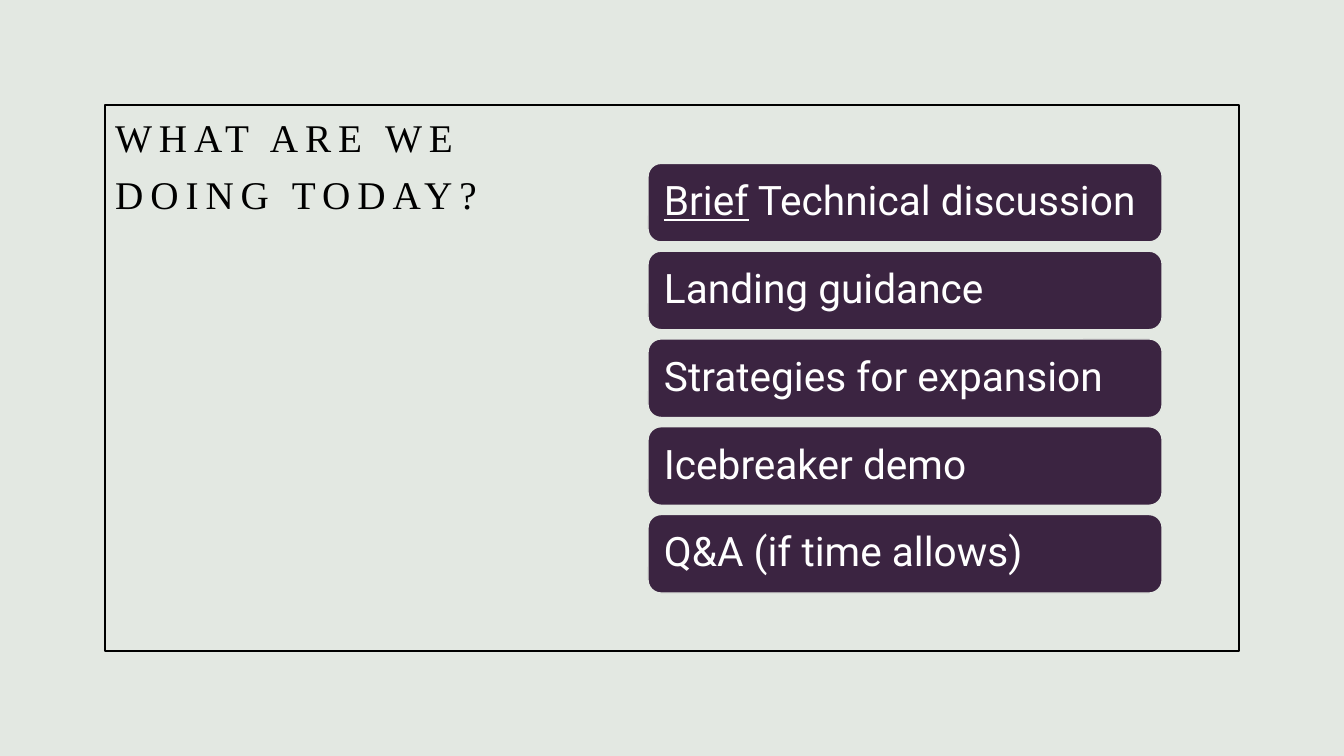
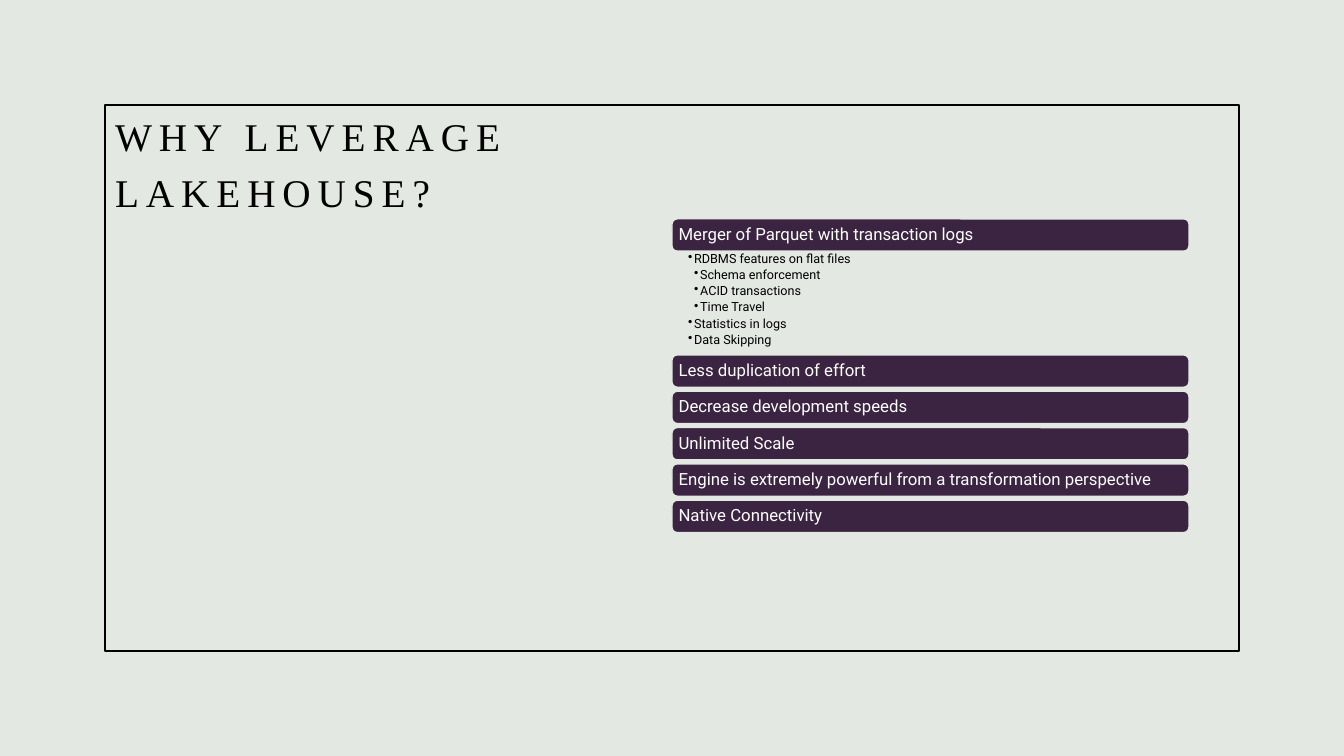
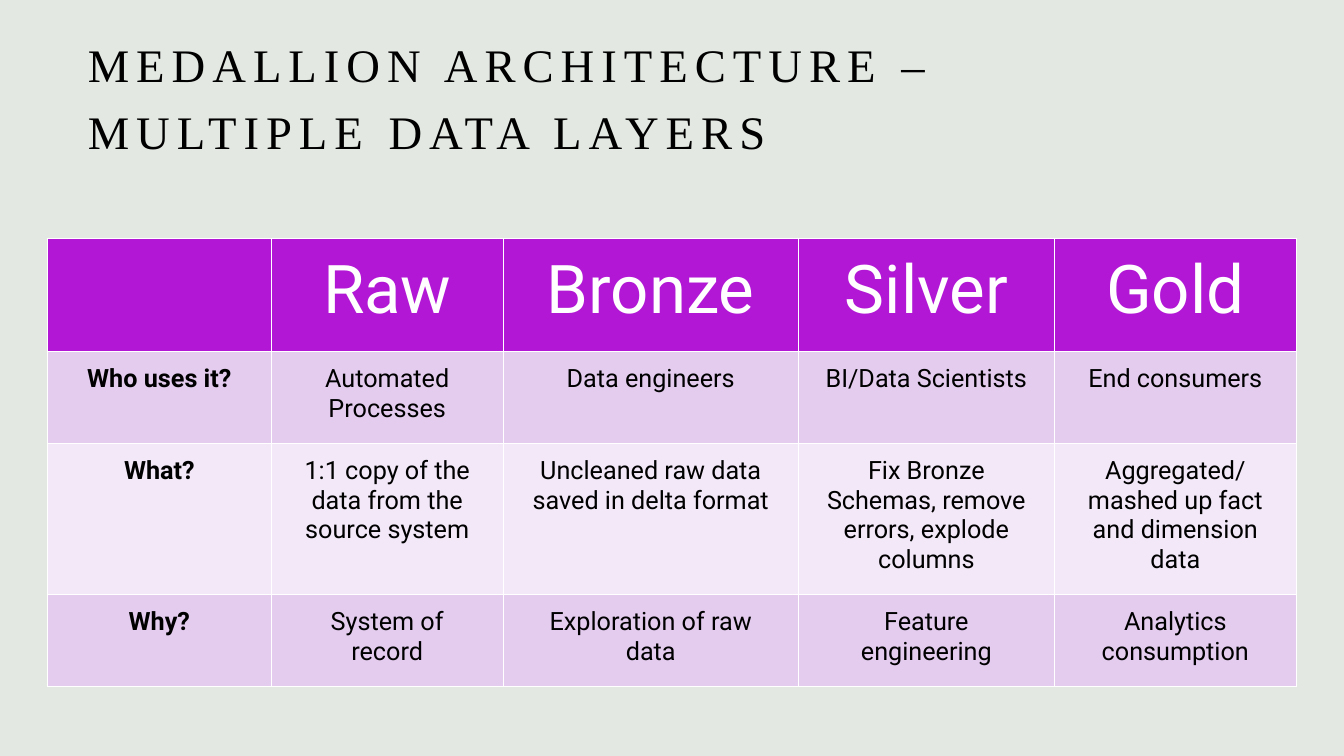
import pptx
import pptx.util
import pptx.dml.color
import pptx.enum.shapes
import pptx.enum.text
import pptx.oxml
import pptx.oxml.ns

COLORS = {
    "background": "E3E8E2",
    "ink": "000000",
    "bar": "3B2441",
    "white": "FFFFFF",
    "header": "B217D5",
    "row_dark": "E4CCEF",
    "row_light": "F2E8F7",
}
TITLE_FONT = "Times New Roman"
BODY_FONT = "Roboto"

# Grid of square cells: 64 columns by 36 rows
SLIDE_WIDTH = pptx.util.Inches(13.333)
SLIDE_HEIGHT = pptx.util.Inches(7.5)
CELL = SLIDE_HEIGHT / 36
TITLE_ONLY = 5

ALIGN = pptx.enum.text.PP_ALIGN
ANCHOR = pptx.enum.text.MSO_ANCHOR
SHAPE = pptx.enum.shapes.MSO_SHAPE

AGENDA = [
    [("Brief", True), (" Technical discussion", False)],
    [("Landing guidance", False)],
    [("Strategies for expansion", False)],
    [("Icebreaker demo", False)],
    [("Q&A (if time allows)", False)],
]
LEAD_REASON = "Merger of Parquet with transaction logs"
LEAD_DETAILS = [
    (1, "RDBMS features on flat files"),
    (2, "Schema enforcement"),
    (2, "ACID transactions"),
    (2, "Time Travel"),
    (1, "Statistics in logs"),
    (1, "Data Skipping"),
]
OTHER_REASONS = [
    "Less duplication of effort",
    "Decrease development speeds",
    "Unlimited Scale",
    "Engine is extremely powerful from a transformation perspective",
    "Native Connectivity",
]
LAYERS = [
    ["", "Raw", "Bronze", "Silver", "Gold"],
    ["Who uses it?", "Automated Processes", "Data engineers",
     "BI/Data Scientists", "End consumers"],
    ["What?", "1:1 copy of the data from the source system",
     "Uncleaned raw data saved in delta format",
     "Fix Bronze Schemas, remove errors, explode columns",
     "Aggregated/ mashed up fact and dimension data"],
    ["Why?", "System of record", "Exploration of raw data",
     "Feature engineering", "Analytics consumption"],
]
LAYER_COLUMNS = [10.66, 11.04, 14.06, 12.19, 11.52]
LAYER_ROWS = [5.38, 4.37, 7.2, 4.37]


def grid(cells):
    return pptx.util.Emu(round(cells * CELL))


def box(left, top, width, height):
    return [grid(cells) for cells in (left, top, width, height)]


def color(name):
    return pptx.dml.color.RGBColor.from_string(COLORS[name])


def style_font(font, name, size, ink, bold=None):
    font.name = name
    font.size = pptx.util.Pt(size)
    font.color.rgb = color(ink)
    font.bold = bold


def set_margins(holder, left, top, right, bottom):
    holder.margin_left = pptx.util.Inches(left)
    holder.margin_top = pptx.util.Inches(top)
    holder.margin_right = pptx.util.Inches(right)
    holder.margin_bottom = pptx.util.Inches(bottom)


def add_titled_slide(deck, text, place, size=28, anchor=ANCHOR.MIDDLE):
    slide = deck.slides.add_slide(deck.slide_layouts[TITLE_ONLY])
    title = slide.shapes.title
    title.left, title.top, title.width, title.height = box(*place)
    frame = title.text_frame
    frame.text = text
    frame.word_wrap = True
    frame.auto_size = pptx.enum.text.MSO_AUTO_SIZE.NONE
    frame.vertical_anchor = anchor
    heading = frame.paragraphs[0]
    heading.alignment = ALIGN.LEFT
    heading.line_spacing = 1.2
    style_font(heading.font, TITLE_FONT, size, "ink")
    for run in heading.runs:
        run.font._element.set("spc", "500")
    return slide


def add_border(slide):
    border = slide.shapes.add_shape(SHAPE.RECTANGLE, *box(5, 5, 54, 26))
    border.shadow.inherit = False
    border.fill.background()
    border.line.color.rgb = color("ink")
    border.line.width = pptx.util.Pt(1)


def add_bar(slide, place, runs, size, inset):
    bar = slide.shapes.add_shape(SHAPE.ROUNDED_RECTANGLE, *box(*place))
    bar.shadow.inherit = False
    bar.fill.solid()
    bar.fill.fore_color.rgb = color("bar")
    bar.line.color.rgb = color("background")
    bar.line.width = pptx.util.Pt(1)
    frame = bar.text_frame
    frame.word_wrap = True
    frame.vertical_anchor = ANCHOR.MIDDLE
    set_margins(frame, inset, inset / 3, inset, inset / 3)
    label = frame.paragraphs[0]
    label.alignment = ALIGN.LEFT
    label.line_spacing = 0.9
    style_font(label.font, BODY_FONT, size, "white")
    for text, underlined in runs:
        run = label.add_run()
        run.text = text
        if underlined:
            run.font.underline = True


def add_bullets(slide, place, items):
    frame = slide.shapes.add_textbox(*box(*place)).text_frame
    frame.word_wrap = True
    set_margins(frame, 0.16, 0.01, 0.09, 0.02)
    hang = pptx.util.Inches(0.06)
    for index, (level, text) in enumerate(items):
        item = frame.paragraphs[0] if index == 0 else frame.add_paragraph()
        item.text = text
        item.line_spacing = 0.9
        item.space_after = pptx.util.Pt(1.9)
        style_font(item.font, BODY_FONT, 9, "ink")
        properties = item._p.get_or_add_pPr()
        properties.set("marL", str(hang * level))
        properties.set("indent", str(-hang))
        bullet = pptx.oxml.parse_xml(
            f'<a:buChar {pptx.oxml.ns.nsdecls("a")} char="•"/>')
        properties.find(pptx.oxml.ns.qn("a:defRPr")).addprevious(bullet)


def add_cell_borders(cell):
    properties = cell._tc.get_or_add_tcPr()
    for index, side in enumerate("LRTB"):
        properties.insert(index, pptx.oxml.parse_xml(
            f'<a:ln{side} {pptx.oxml.ns.nsdecls("a")} w="12700"><a:solidFill>'
            f'<a:srgbClr val="{COLORS["white"]}"/></a:solidFill></a:ln{side}>'))


def fill_cell(cell, text, fill, size, ink, bold):
    cell.fill.solid()
    cell.fill.fore_color.rgb = color(fill)
    add_cell_borders(cell)
    set_margins(cell, 0.27, 0.13, 0.27, 0.13)
    cell.text = text
    entry = cell.text_frame.paragraphs[0]
    entry.alignment = ALIGN.CENTER
    style_font(entry.font, BODY_FONT, size, ink, bold)


def add_layer_table(slide, left, top):
    place = box(left, top, sum(LAYER_COLUMNS), sum(LAYER_ROWS))
    table = slide.shapes.add_table(
        len(LAYER_ROWS), len(LAYER_COLUMNS), *place).table
    for column, width in zip(table.columns, LAYER_COLUMNS):
        column.width = grid(width)
    for row, height in zip(table.rows, LAYER_ROWS):
        row.height = grid(height)
    for r, texts in enumerate(LAYERS):
        for c, text in enumerate(texts):
            if r == 0:
                look = ("header", 48, "white", False)
            else:
                fill = "row_dark" if r % 2 else "row_light"
                look = (fill, 18, "ink", c == 0)
            fill_cell(table.cell(r, c), text, *look)


def build_agenda(deck):
    slide = add_titled_slide(deck, "WHAT ARE WE DOING TODAY?",
                             (5, 1.68, 24.14, 11.95))
    add_border(slide)
    for index, runs in enumerate(AGENDA):
        add_bar(slide, (30.86, 7.78 + 4.18 * index, 24.48, 3.74),
                runs, 29, 0.12)


def build_reasons(deck):
    slide = add_titled_slide(deck, "WHY LEVERAGE LAKEHOUSE?",
                             (5, 1.1, 22.6, 9.41), anchor=ANCHOR.BOTTOM)
    add_border(slide)
    left, width, height = 32, 24.62, 1.54
    tops = [10.42] + [16.9 + 1.73 * i for i in range(len(OTHER_REASONS))]
    for top, reason in zip(tops, [LEAD_REASON] + OTHER_REASONS):
        add_bar(slide, (left, top, width, height), [(reason, False)], 12, 0.05)
    details_top = tops[0] + height
    add_bullets(slide, (left, details_top, width, tops[1] - details_top),
                LEAD_DETAILS)


def build_layers(deck):
    slide = add_titled_slide(
        deck, "MEDALLION ARCHITECTURE – MULTIPLE DATA LAYERS",
        (3.7, 1.3, 52.66, 6.1), size=33.3)
    add_layer_table(slide, 2.26, 11.36)


def main():
    deck = pptx.Presentation()
    deck.slide_width = SLIDE_WIDTH
    deck.slide_height = SLIDE_HEIGHT
    # Shared background
    backdrop = deck.slide_master.background.fill
    backdrop.solid()
    backdrop.fore_color.rgb = color("background")
    build_agenda(deck)
    build_reasons(deck)
    build_layers(deck)
    deck.save("out.pptx")


if __name__ == "__main__":
    main()
